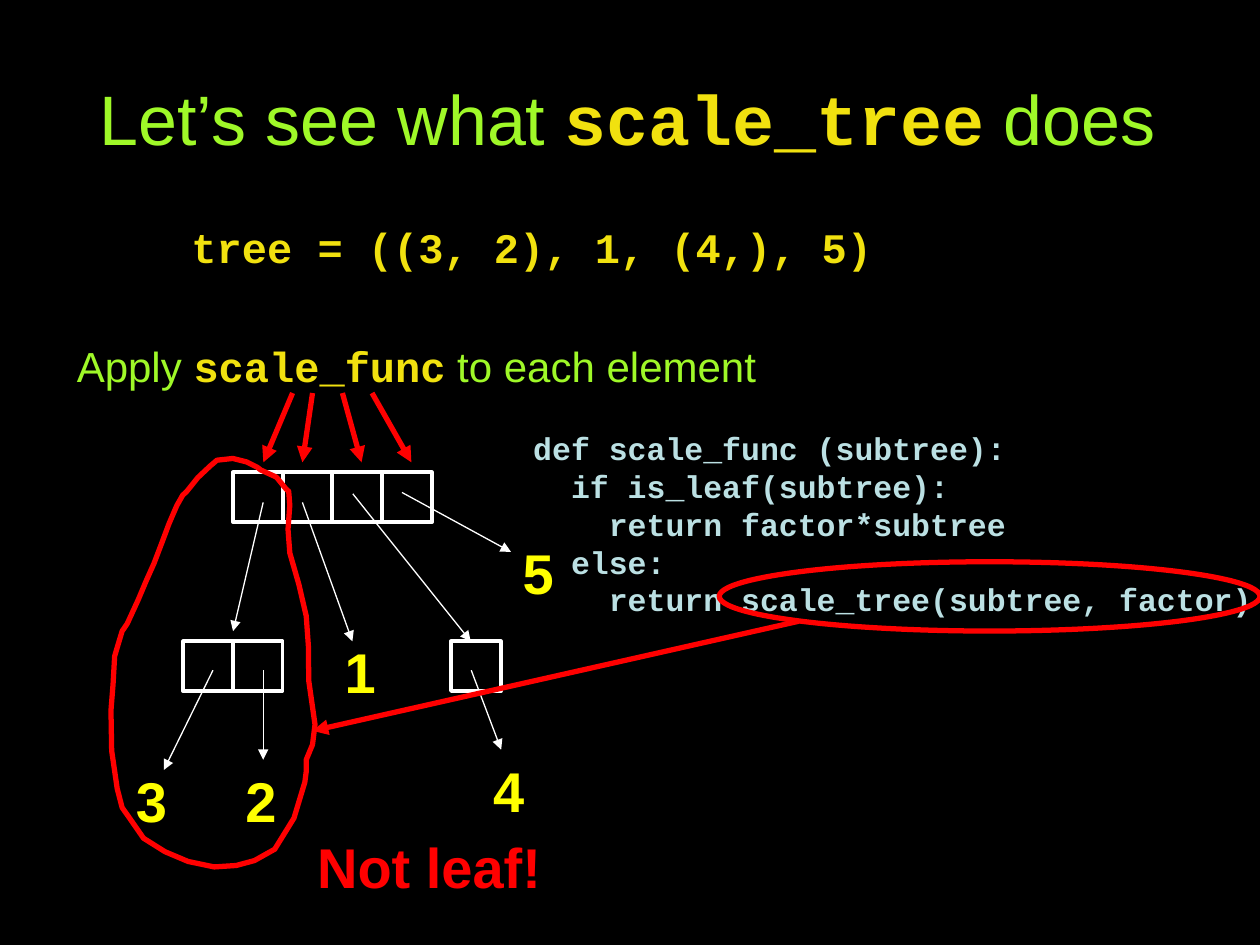
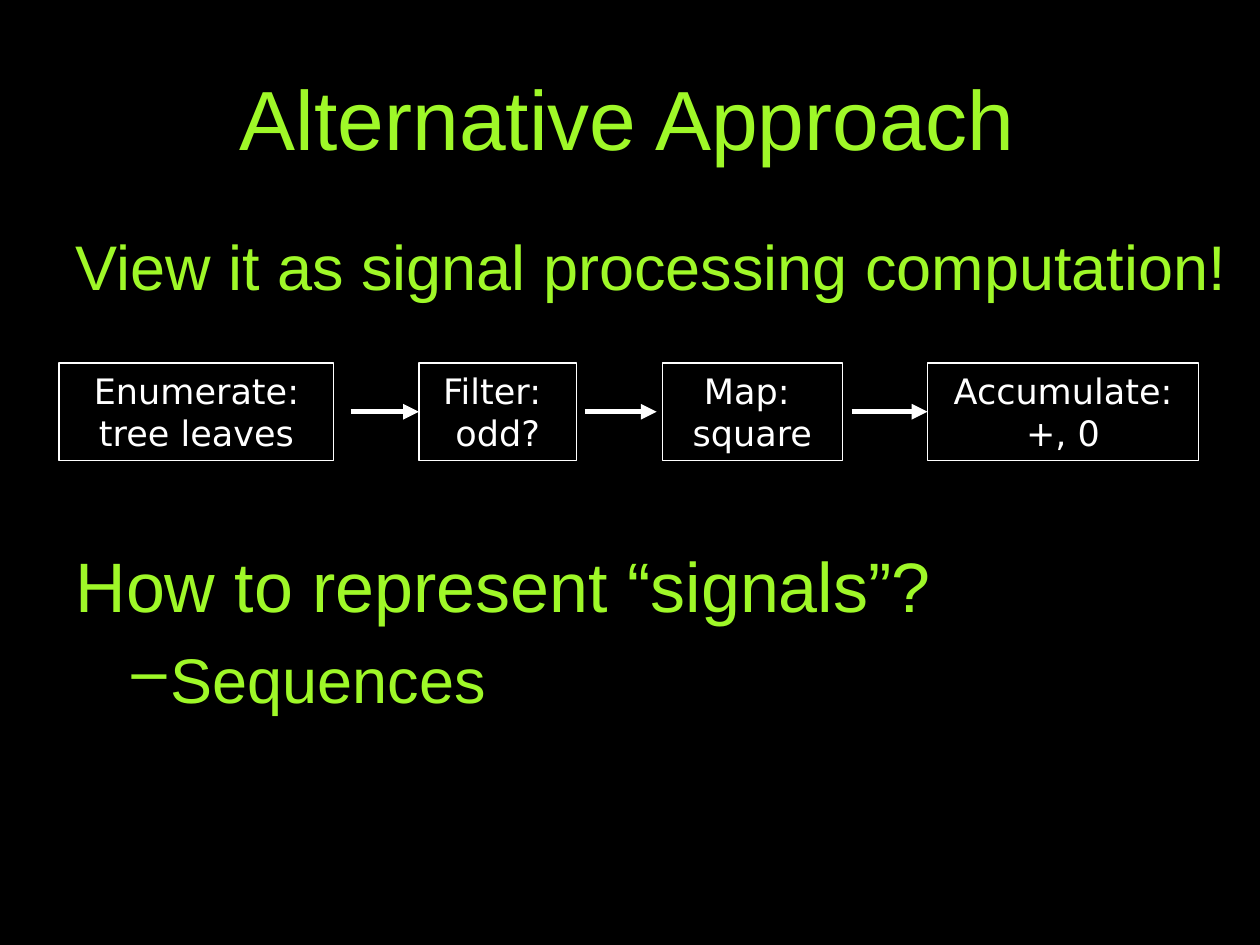
"""Build two slides on tree scaling and on signal processing pipelines."""
from dataclasses import dataclass

from lxml.etree import SubElement
from pptx import Presentation
from pptx.dml.color import RGBColor
from pptx.enum.shapes import MSO_CONNECTOR, MSO_SHAPE
from pptx.enum.text import MSO_ANCHOR, PP_ALIGN
from pptx.oxml.ns import qn
from pptx.util import Pt


@dataclass(frozen=True)
class Theme:
    background: str = "000000"
    green: str = "9FF828"
    gold: str = "F1E10F"
    yellow: str = "FFFF00"
    white: str = "FFFFFF"
    red: str = "FF0000"
    pale: str = "BBE0E3"
    sans: str = "Arial"
    mono: str = "Courier New"
    label: str = "DejaVu Sans"
    title: int = 48
    long_title: int = 40
    question: int = 40
    statement: int = 36
    leaf: int = 32
    note: int = 24
    stage: int = 20
    code: int = 18
    leading: float = 1.2
    thin: float = 0.75
    cell: float = 2.25
    thick: float = 3


THEME = Theme()
PLAIN = (THEME.sans, THEME.green, False)
CODE_NAME = (THEME.mono, THEME.gold, True)
LISTING = (THEME.mono, THEME.pale, True)
LEAF = (THEME.sans, THEME.yellow, True)
WARNING = (THEME.sans, THEME.red, True)
STAGE = (THEME.label, THEME.white, False)

INSETS = (7.2, 3.6, 7.2, 3.6)
TREE_INSETS = (10, 4, 7.2, 3.6)
BODY_INSETS = (4.3, 4.3, 7.2, 4.3)
TITLE_BOX = (36, 5.4, 648, 123)
BODY_BOX = (36, 126, 692, 374)

SCALE_TITLE = [("Let’s see what ", PLAIN), ("scale_tree", CODE_NAME), (" does", PLAIN)]
TREE_LINE = [("tree = ((3, 2), 1, (4,), 5)", CODE_NAME)]
APPLY_LINE = [("Apply ", PLAIN), ("scale_func", CODE_NAME), (" to each element", PLAIN)]
SCALE_FUNC = [
    "def scale_func (subtree):",
    "  if is_leaf(subtree):",
    "    return factor*subtree",
    "  else:",
    "    return scale_tree(subtree, factor)",
]

CELL = 28.4
CELL_ROWS = [(133.2, 270, 4), (104.7, 366.5, 2), (257.8, 366.5, 1)]
LEAVES = [("4", 274.8, 428.6), ("3", 70.6, 434.2), ("2", 133.2, 434.2),
          ("1", 189.8, 360.7), ("5", 291.6, 304)]
POINTERS = [
    (121.7, 383, 93.6, 440), (150.4, 383, 150.4, 434.2),
    (150.4, 287.1, 133.2, 360.7), (172.8, 287.1, 201.4, 366.5),
    (201.6, 282.2, 269, 366.5), (229.7, 281.4, 292, 315.4),
    (269.3, 383, 286.4, 428.4),
]
APPLY_ARROWS = [(167.2, 150.5), (178.6, 172.8), (195.7, 206.6), (212.6, 235.1)]
APPLY_TOP, APPLY_BOTTOM = 224.6, 264.2
RECURSIVE_CALL = (411, 321, 309, 39.6)
CALL_ARROW = (456.5, 355, 178.6, 417.6)
SUBTREE_OUTLINE = [
    (147, 267), (141, 264), (133, 262), (124, 263), (120, 266.4), (113, 273),
    (106.6, 281), (104.4, 283), (101, 289), (96.5, 299.5), (92.2, 311), (88, 322),
    (83.5, 332), (79, 342.7), (72.7, 356.4), (69.8, 360.7), (67, 370), (65.5, 375),
    (64.6, 391), (63.4, 406), (63.8, 429), (67, 450.7), (69.8, 461.5), (73.4, 466.6),
    (82, 479), (94.3, 486.7), (107.5, 492.3), (122.4, 495.4), (135, 494.6),
    (145.4, 491.8), (157, 485.3), (168, 467.5), (174.2, 447), (175, 441), (175, 434.2),
    (178.6, 425.5), (180, 414), (176.4, 388.8), (176.3, 370), (175, 352), (170.8, 334),
    (165.6, 316), (164.6, 302.5), (165.6, 288.7), (165, 280.8), (163.4, 279.4),
    (158, 272.7), (149, 268.6),
]

STAGES = [
    (["Enumerate: tree leaves"], 33.8, 157),
    (["Filter: ", "odd?"], 239.4, 90),
    (["Map: ", "square"], 378.5, 102.8),
    (["Accumulate: +, 0"], 530, 155),
]
STAGE_TOP, STAGE_HEIGHT = 207.5, 55.6
STAGE_ARROWS = [(200.4, 239.4, 1), (334.2, 375.2, None), (486.7, 530, 3)]
QUESTION_GAP, ANSWER_GAP = 136.8, 8


def color(value):
    return RGBColor.from_string(value)


def add_runs(paragraph, runs, size):
    for text, (font, ink, bold) in runs:
        run = paragraph.add_run()
        run.text = text
        run.font.name = font
        run.font.size = Pt(size)
        run.font.bold = bold
        run.font.color.rgb = color(ink)


def add_spaced_runs(paragraph, runs, size):
    paragraph.line_spacing = Pt(THEME.leading * size)
    add_runs(paragraph, runs, size)


def fill_text(shape, lines, size, align=PP_ALIGN.LEFT, insets=INSETS,
              anchor=MSO_ANCHOR.TOP, wrap=True):
    frame = shape.text_frame
    frame.word_wrap = wrap
    frame.vertical_anchor = anchor
    frame.margin_left, frame.margin_top, frame.margin_right, frame.margin_bottom = map(Pt, insets)
    for index, runs in enumerate(lines):
        paragraph = frame.add_paragraph() if index else frame.paragraphs[0]
        paragraph.alignment = align
        add_spaced_runs(paragraph, runs, size)
    return frame


def add_text(slide, box, lines, size, **options):
    return fill_text(slide.shapes.add_textbox(*map(Pt, box)), lines, size, **options)


def add_title(slide, runs, size):
    add_text(slide, TITLE_BOX, [runs], size, align=PP_ALIGN.CENTER,
             insets=BODY_INSETS, anchor=MSO_ANCHOR.MIDDLE)


def style_outline(shape, ink, weight):
    shape.shadow.inherit = False
    shape.fill.background()
    shape.line.color.rgb = color(ink)
    shape.line.width = Pt(weight)
    return shape


def add_outline(slide, kind, box, ink, weight):
    return style_outline(slide.shapes.add_shape(kind, *map(Pt, box)), ink, weight)


def add_arrow(slide, ends, ink, weight):
    arrow = slide.shapes.add_connector(MSO_CONNECTOR.STRAIGHT, *map(Pt, ends))
    arrow.line.color.rgb = color(ink)
    arrow.line.width = Pt(weight)
    SubElement(arrow.line._get_or_add_ln(), qn("a:tailEnd"), type="triangle")
    SubElement(arrow._element.spPr, qn("a:effectLst"))
    return arrow


def add_loop(slide, points):
    first, *rest = [(Pt(x), Pt(y)) for x, y in points]
    builder = slide.shapes.build_freeform(*first)
    builder.add_line_segments(rest, close=True)
    style_outline(builder.convert_to_shape(), THEME.red, THEME.thick)


def new_slide(presentation):
    slide = presentation.slides.add_slide(presentation.slide_layouts[6])
    slide.background.fill.solid()
    slide.background.fill.fore_color.rgb = color(THEME.background)
    return slide


def build_scale_tree(presentation):
    slide = new_slide(presentation)
    add_title(slide, SCALE_TITLE, THEME.long_title)
    add_text(slide, (99.4, 122.4, 514.8, 36), [TREE_LINE], THEME.note, insets=TREE_INSETS)
    for text, left, top in LEAVES:
        add_text(slide, (left, top, 33.8, 46), [[(text, LEAF)]], THEME.leaf)
    for left, top, count in CELL_ROWS:
        for column in range(count):
            add_outline(slide, MSO_SHAPE.RECTANGLE, (left + column * CELL, top, CELL, CELL),
                        THEME.white, THEME.cell)
    for ends in POINTERS:
        add_arrow(slide, ends, THEME.white, THEME.thin)
    add_text(slide, (36.7, 190.8, 402.5, 36), [APPLY_LINE], THEME.note,
             align=PP_ALIGN.CENTER, wrap=False)
    for start, end in APPLY_ARROWS:
        add_arrow(slide, (start, APPLY_TOP, end, APPLY_BOTTOM), THEME.red, THEME.thick)
    add_text(slide, (297.6, 241.8, 442, 115.2), [[(line, LISTING)] for line in SCALE_FUNC],
             THEME.code)
    add_loop(slide, SUBTREE_OUTLINE)
    add_text(slide, (174, 472.3, 142.6, 46), [[("Not leaf!", WARNING)]], THEME.leaf,
             align=PP_ALIGN.CENTER, wrap=False)
    add_outline(slide, MSO_SHAPE.OVAL, RECURSIVE_CALL, THEME.red, THEME.thick)
    add_arrow(slide, CALL_ARROW, THEME.red, THEME.thick)


def build_alternative(presentation):
    slide = new_slide(presentation)
    add_title(slide, [("Alternative Approach", PLAIN)], THEME.title)
    frame = add_text(slide, BODY_BOX, [[("View it as signal processing computation!", PLAIN)]],
                     THEME.statement, insets=BODY_INSETS)
    question, answer = frame.add_paragraph(), frame.add_paragraph()
    question.space_before, answer.space_before = Pt(QUESTION_GAP), Pt(ANSWER_GAP)
    add_spaced_runs(question, [("How to represent “signals”?", PLAIN)], THEME.question)
    for paragraph in (frame.paragraphs[0], question):
        paragraph._p.get_or_add_pPr().set("marL", str(Pt(2.9)))
    properties = answer._p.get_or_add_pPr()
    properties.set("marL", str(Pt(57.3)))
    properties.set("indent", str(Pt(-22.3)))
    bullet_color = SubElement(properties, qn("a:buClr"))
    SubElement(bullet_color, qn("a:srgbClr"), val=THEME.green)
    SubElement(properties, qn("a:buChar"), char="–")
    add_runs(answer, [("Sequences", PLAIN)], THEME.statement)

    boxes = []
    for lines, left, width in STAGES:
        box = add_outline(slide, MSO_SHAPE.RECTANGLE, (left, STAGE_TOP, width, STAGE_HEIGHT),
                          THEME.white, THEME.thin)
        fill_text(box, [[(line, STAGE)] for line in lines], THEME.stage, align=PP_ALIGN.CENTER)
        boxes.append(box)
    middle = STAGE_TOP + STAGE_HEIGHT / 2
    for start, end, target in STAGE_ARROWS:
        arrow = add_arrow(slide, (start, middle, end, middle), THEME.white, THEME.thick)
        if target is not None:
            arrow.end_connect(boxes[target], 1)


def main():
    presentation = Presentation()
    presentation.slide_width, presentation.slide_height = Pt(720), Pt(540)
    build_scale_tree(presentation)
    build_alternative(presentation)
    presentation.save("out.pptx")


if __name__ == "__main__":
    main()
